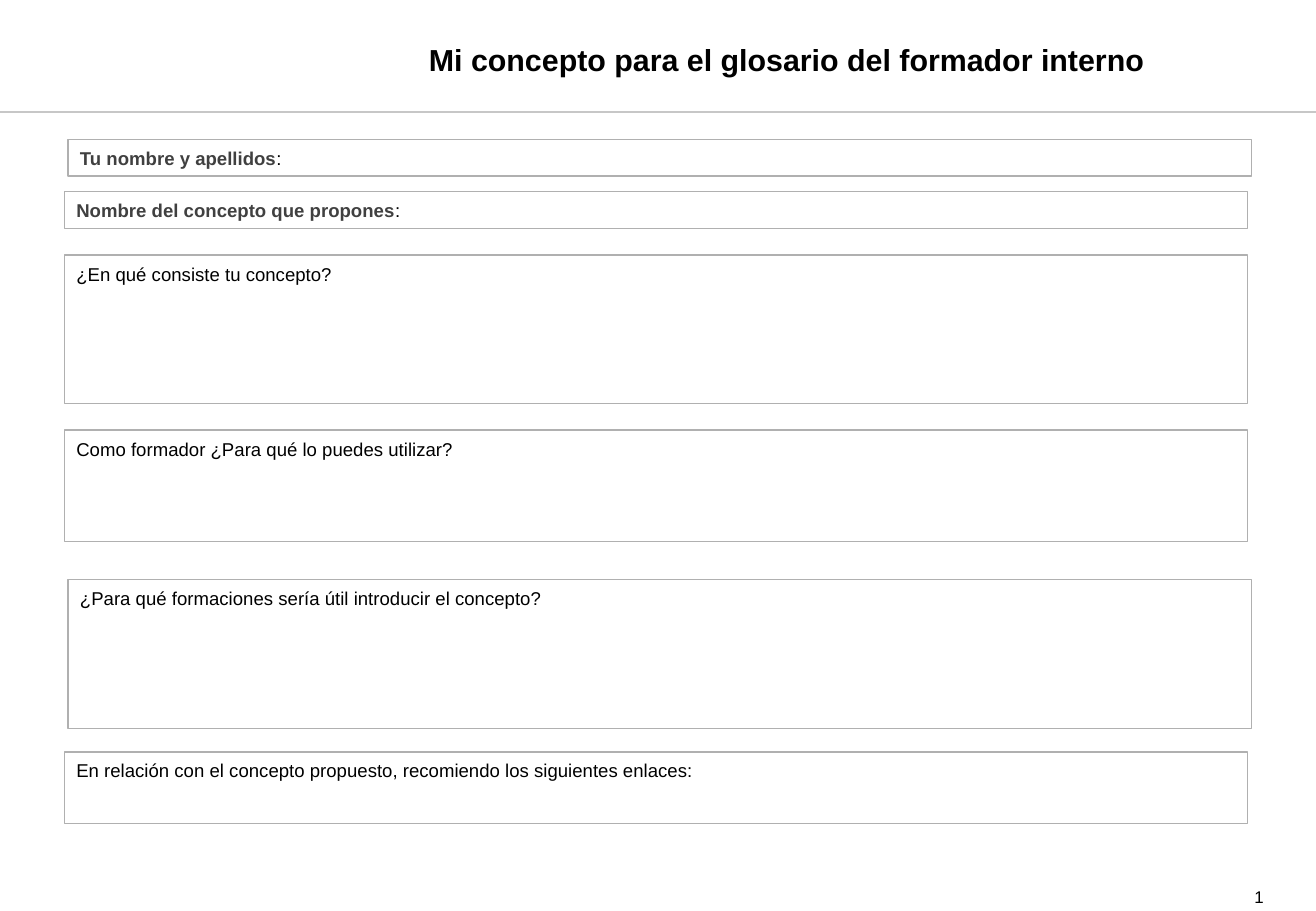
from dataclasses import dataclass

from lxml import etree
from pptx import Presentation
from pptx import util as u
from pptx.dml.color import RGBColor
from pptx.enum import shapes, text
from pptx.oxml import ns

SLIDE_WIDTH, SLIDE_HEIGHT = 10.83, 7.5
FIELD_WIDTH = 9.74
LEFT, INDENTED_LEFT = 0.53, 0.56
BLACK, DARK_GREY, BORDER_GREY, RULE_GREY = "000000", "404040", "B0B0B0", "C7C7C7"


@dataclass(frozen=True)
class Wording:
    content: str
    size: float = 11
    color: str = BLACK
    bold: bool = False


@dataclass(frozen=True)
class Field:
    left: float
    top: float
    height: float
    wording: tuple[Wording, ...]


@dataclass(frozen=True)
class Label:
    left: float
    top: float
    width: float
    height: float
    wording: Wording
    frame_format: dict
    paragraph_format: dict


def label_wording(name: str) -> tuple[Wording, ...]:
    return Wording(name, color=DARK_GREY, bold=True), Wording(":")


FIELDS = (
    Field(INDENTED_LEFT, 1.15, 0.3, label_wording("Tu nombre y apellidos")),
    Field(LEFT, 1.58, 0.3, label_wording("Nombre del concepto que propones")),
    Field(LEFT, 2.1, 1.22, (Wording("¿En qué consiste tu concepto?"),)),
    Field(LEFT, 3.54, 0.92, (Wording("Como formador ¿Para qué lo puedes utilizar?"),)),
    Field(INDENTED_LEFT, 4.77, 1.23,
          (Wording("¿Para qué formaciones sería útil introducir el concepto?"),)),
    Field(LEFT, 6.19, 0.59,
          (Wording("En relación con el concepto propuesto, recomiendo los siguientes enlaces:"),)),
)

NO_MARGINS = dict.fromkeys(("margin_left", "margin_top", "margin_right", "margin_bottom"), 0)
FIELD_FRAME = {"word_wrap": True, "vertical_anchor": text.MSO_ANCHOR.TOP}
FIELD_PARAGRAPH = {
    "alignment": text.PP_ALIGN.LEFT,
    "line_spacing": 1.07,
    "space_after": u.Pt(8),
}

LABELS = (
    Label(3.53, 0.29, 7.09, 0.39,
          Wording("Mi concepto para el glosario del formador interno", size=18, bold=True),
          NO_MARGINS | {"word_wrap": True, "vertical_anchor": text.MSO_ANCHOR.MIDDLE},
          {"alignment": text.PP_ALIGN.LEFT}),
    Label(10.15, 7.32, 0.25, 0.15, Wording("1", size=10),
          NO_MARGINS | {"word_wrap": True},
          {"alignment": text.PP_ALIGN.RIGHT, "line_spacing": 0.9}),
)


def rgb(color: str) -> RGBColor:
    return RGBColor.from_string(color)


def apply_format(target, values: dict) -> None:
    for attribute, value in values.items():
        setattr(target, attribute, value)


def write(frame, wording: tuple[Wording, ...], frame_format: dict, paragraph_format: dict) -> None:
    apply_format(frame, frame_format)
    paragraph = frame.paragraphs[0]
    apply_format(paragraph, paragraph_format)
    for part in wording:
        run = paragraph.add_run()
        run.text = part.content
        apply_format(run.font, {"name": "Arial", "size": u.Pt(part.size), "bold": part.bold})
        run.font.color.rgb = rgb(part.color)


def draw_field(slide, field: Field) -> None:
    box = slide.shapes.add_shape(
        shapes.MSO_SHAPE.RECTANGLE, u.Inches(field.left), u.Inches(field.top),
        u.Inches(FIELD_WIDTH), u.Inches(field.height))
    box.shadow.inherit = False
    box.fill.background()
    box.line.color.rgb = rgb(BORDER_GREY)
    box.line.width = u.Pt(0.75)
    write(box.text_frame, field.wording, FIELD_FRAME, FIELD_PARAGRAPH)


def draw_label(slide, label: Label) -> None:
    box = slide.shapes.add_textbox(
        u.Inches(label.left), u.Inches(label.top), u.Inches(label.width), u.Inches(label.height))
    write(box.text_frame, (label.wording,), label.frame_format, label.paragraph_format)


def draw_header_rule(slide, top: float) -> None:
    rule = slide.shapes.add_connector(
        shapes.MSO_CONNECTOR.STRAIGHT, 0, u.Inches(top), u.Inches(SLIDE_WIDTH), u.Inches(top))
    rule.line.color.rgb = rgb(RULE_GREY)
    rule.line.width = u.Pt(1)
    etree.SubElement(rule._element.spPr, ns.qn("a:effectLst"))


def main() -> None:
    presentation = Presentation()
    presentation.slide_width = u.Inches(SLIDE_WIDTH)
    presentation.slide_height = u.Inches(SLIDE_HEIGHT)
    slide = presentation.slides.add_slide(presentation.slide_layouts[6])
    draw_header_rule(slide, 0.92)
    for label in LABELS:
        draw_label(slide, label)
    for field in FIELDS:
        draw_field(slide, field)
    presentation.save("out.pptx")


if __name__ == "__main__":
    main()
